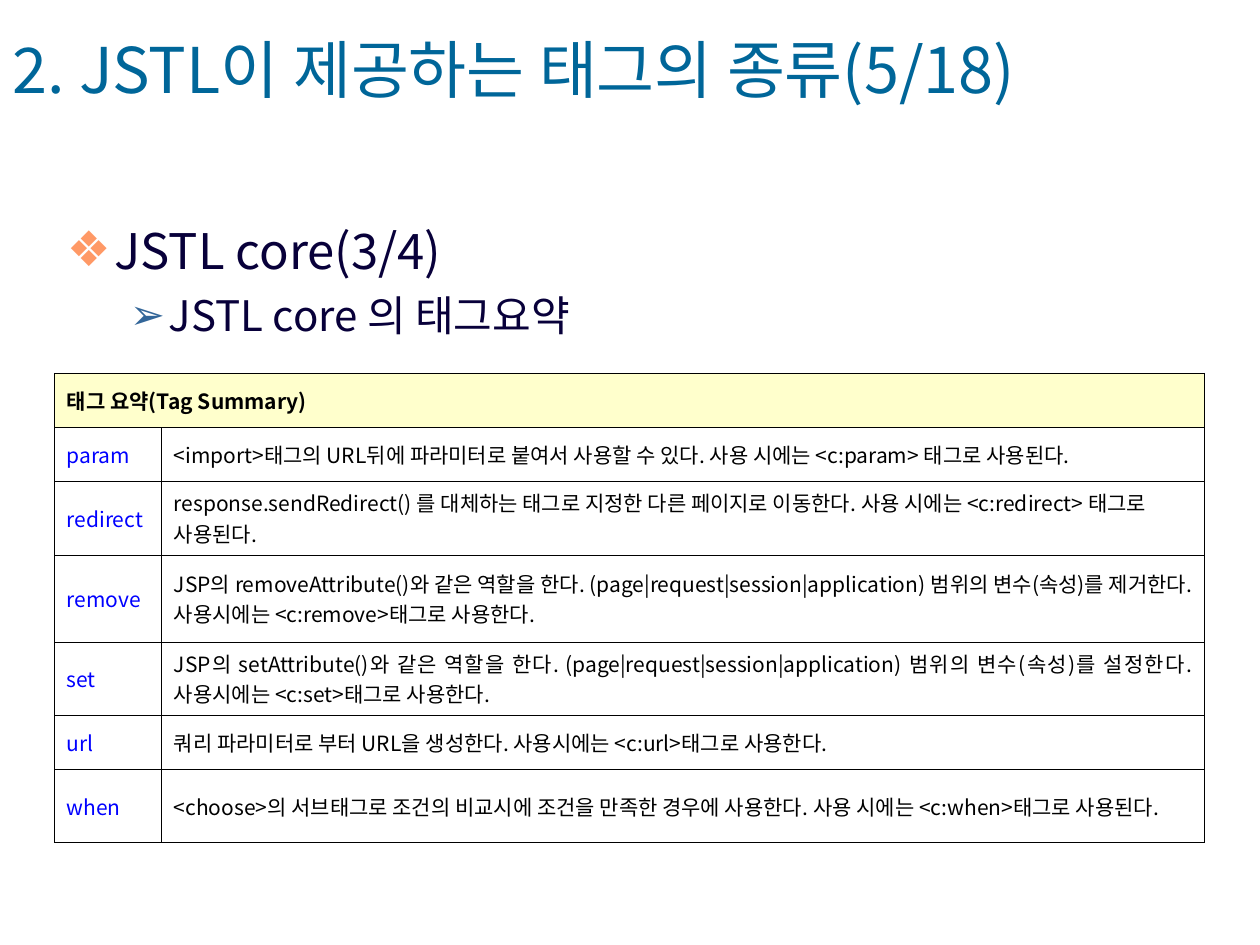
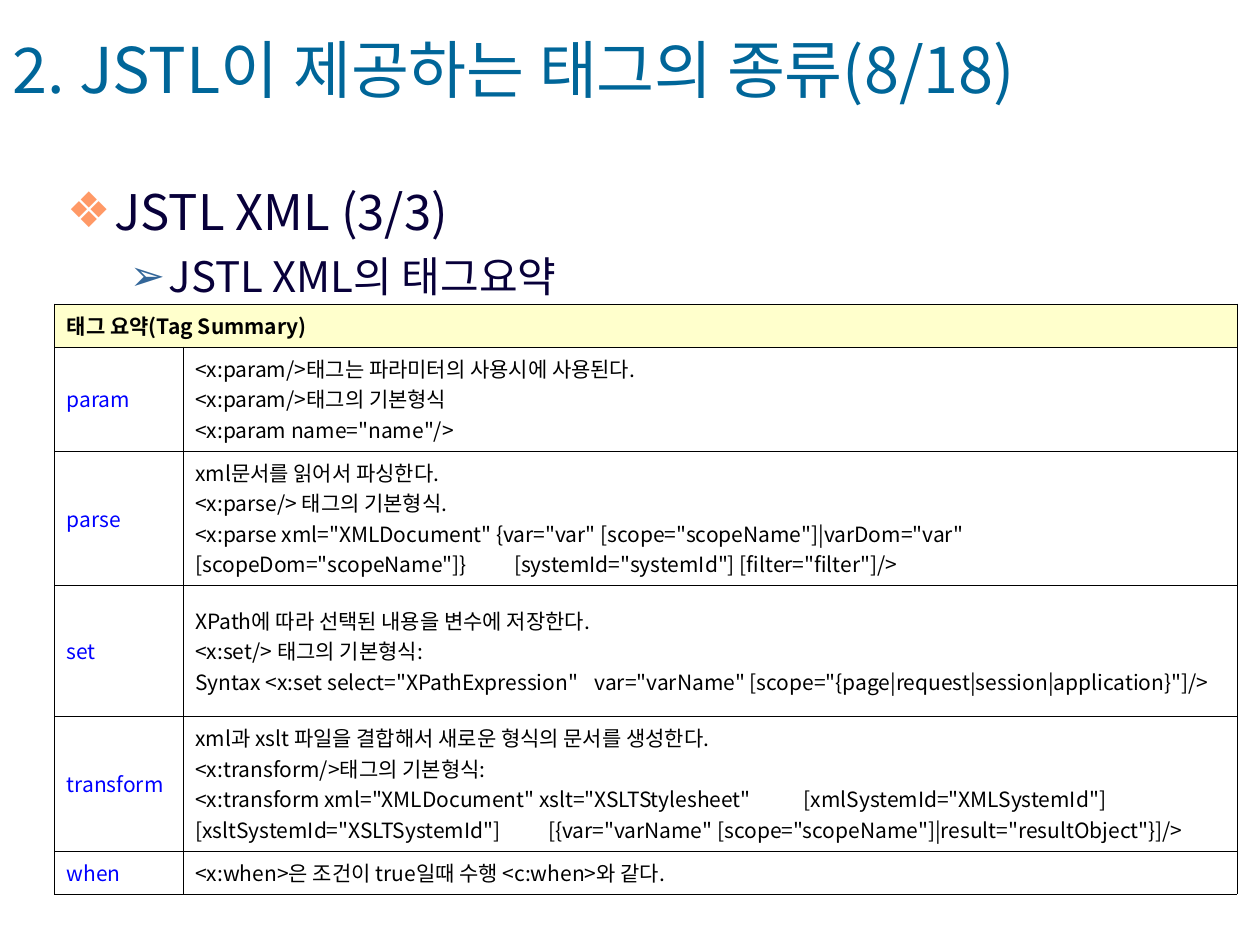
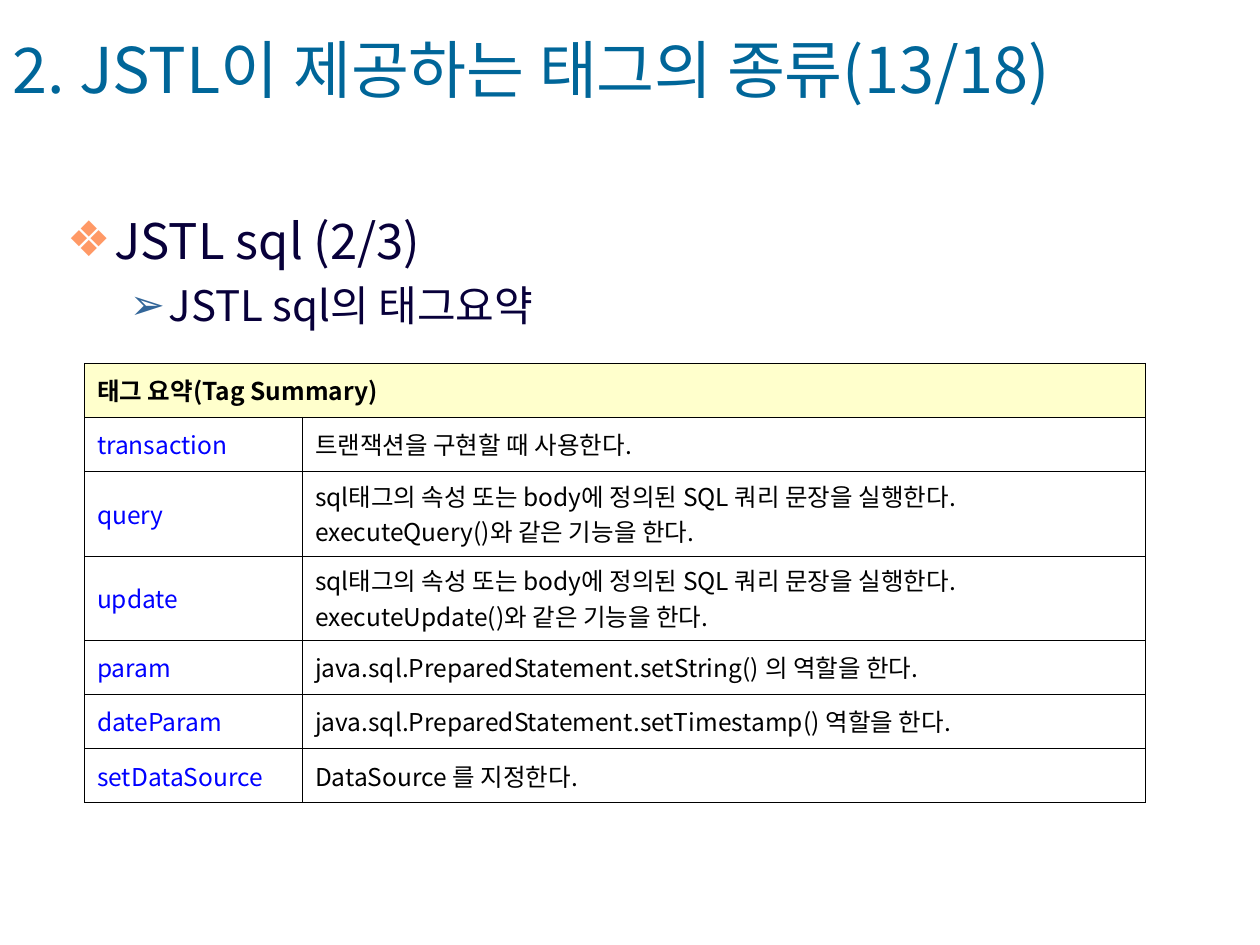
"""Build three slides that summarise the JSTL core, XML and sql tags."""
import dataclasses
import typing

import lxml.etree
import pptx
import pptx.dml.color
import pptx.enum.text
import pptx.oxml.ns
import pptx.util

Inches = pptx.util.Inches
Pt = pptx.util.Pt
ALIGN = pptx.enum.text.PP_ALIGN
ANCHOR = pptx.enum.text.MSO_ANCHOR
qn = pptx.oxml.ns.qn


@dataclasses.dataclass(frozen=True)
class Theme:
    """Colours and type sizes of the deck."""
    font: str = "Noto Sans CJK KR"
    title: str = "006699"
    body: str = "08003A"
    tag: str = "0000FF"
    ink: str = "000000"
    header_fill: str = "FFFFCC"
    cell_fill: str = "FFFFFF"
    title_size: float = 36
    border_width: float = 0.06


@dataclasses.dataclass(frozen=True)
class ListLevel:
    """Format of one level of the topic list."""
    bullet: str
    bullet_color: str
    size: float
    space_before: float
    margin: float
    hanging: float


@dataclasses.dataclass(frozen=True)
class Tag:
    """One table row: a tag, its description lines and its row height."""
    name: str
    lines: tuple[str, ...]
    height: float
    justified: bool = False
    tab_stops: tuple[float, ...] = ()


@dataclasses.dataclass(frozen=True)
class TagSlide:
    """One slide with its topic list and tag table."""
    page: int
    topics: tuple[str, str]
    topics_top: float
    topics_height: float
    left: float
    top: float
    columns: tuple[float, float]
    header_height: float
    text_size: float
    tags: tuple[Tag, ...]


THEME = Theme()
LEVELS = (
    ListLevel("❖", "FF9966", 28, 7, 0.38, 0.38),
    ListLevel("➢", "336699", 24, 6, 0.81, 0.31),
)
SLIDES = (
    TagSlide(5, ("JSTL core(3/4)", "JSTL core 의 태그요약"), 1.7, 1.18,
             0.43, 2.96, (0.85, 8.28), 0.43, 12, (
        Tag("param", ("<import>태그의 URL뒤에 파라미터로 붙여서 사용할 수 있다. "
                      "사용 시에는 <c:param> 태그로 사용된다.",), 0.43, True),
        Tag("redirect", ("response.sendRedirect() 를 대체하는 태그로 지정한 다른 페이지로 "
                         "이동한다. 사용 시에는 <c:redirect> 태그로 사용된다.",), 0.58),
        Tag("remove", ("JSP의 removeAttribute()와 같은 역할을 한다. "
                       "(page|request|session|application) 범위의 변수(속성)를 제거한다. "
                       "사용시에는 <c:remove>태그로 사용한다.",), 0.69, True),
        Tag("set", ("JSP의 setAttribute()와 같은 역할을 한다. "
                    "(page|request|session|application) 범위의 변수(속성)를 설정한다. "
                    "사용시에는 <c:set>태그로 사용한다.",), 0.58, True),
        Tag("url", ("쿼리 파라미터로 부터 URL을 생성한다. "
                    "사용시에는 <c:url>태그로 사용한다.",), 0.43),
        Tag("when", ("<choose>의 서브태그로 조건의 비교시에 조건을 만족한 경우에 사용한다. "
                     "사용 시에는 <c:when>태그로 사용된다.",), 0.58, True),
    )),
    TagSlide(8, ("JSTL XML (3/3)", "JSTL XML의 태그요약"), 1.39, 1.1,
             0.43, 2.41, (1.02, 8.37), 0.34, 12, (
        Tag("param", ("<x:param/>태그는 파라미터의 사용시에 사용된다.",
                      "<x:param/>태그의 기본형식",
                      '<x:param name="name"/>'), 0.81),
        Tag("parse", ("xml문서를 읽어서 파싱한다.",
                      "<x:parse/> 태그의 기본형식.",
                      '<x:parse xml="XMLDocument" {var="var" [scope="scopeName"]|varDom="var" '
                      '[scopeDom="scopeName"]}\t[systemId="systemId"] [filter="filter"]/>'),
            1.04, tab_stops=(2.53,)),
        Tag("set", ("XPath에 따라 선택된 내용을 변수에 저장한다.",
                    "<x:set/> 태그의 기본형식:",
                    'Syntax <x:set select="XPathExpression"\tvar="varName" '
                    '[scope="{page|request|session|application}"]/>'),
            1.04, tab_stops=(3.17,)),
        Tag("transform", ("xml과 xslt 파일을 결합해서 새로운 형식의 문서를 생성한다.",
                          "<x:transform/>태그의 기본형식:",
                          '<x:transform xml="XMLDocument" xslt="XSLTStylesheet"\t'
                          '[xmlSystemId="XMLSystemId"] [xsltSystemId="XSLTSystemId"]\t'
                          '[{var="varName" [scope="scopeName"]|result="resultObject"}]/>'),
            1.04, tab_stops=(2.8, 4.83)),
        Tag("when", ("<x:when>은 조건이 true일때 수행 <c:when>와 같다.",), 0.34),
    )),
    TagSlide(13, ("JSTL sql (2/3)", "JSTL sql의 태그요약"), 1.62, 1.1,
             0.67, 2.88, (1.73, 6.69), 0.43, 14, (
        Tag("transaction", ("트랜잭션을 구현할 때 사용한다.",), 0.43),
        *(Tag(name, ("sql태그의 속성 또는 body에 정의된 SQL 쿼리 문장을 실행한다. "
                     f"{method}()와 같은 기능을 한다.",), 0.67)
          for name, method in (("query", "executeQuery"), ("update", "executeUpdate"))),
        Tag("param", ("java.sql.PreparedStatement.setString() 의 역할을 한다.",), 0.43),
        Tag("dateParam", ("java.sql.PreparedStatement.setTimestamp() 역할을 한다.",), 0.43),
        Tag("setDataSource", ("DataSource 를 지정한다.",), 0.43),
    )),
)


def write(frame: typing.Any, lines: tuple[str, ...], *, size: float, color: str,
          bold: bool = False, align: ALIGN = ALIGN.LEFT,
          more: bool = False) -> list[typing.Any]:
    """Write formatted paragraphs into a text frame and return them."""
    written = []
    for index, line in enumerate(lines):
        paragraph = frame.add_paragraph() if more or index else frame.paragraphs[0]
        paragraph.alignment = align
        run = paragraph.add_run()
        run.text = line
        run.font.name = THEME.font
        run.font.size = Pt(size)
        run.font.bold = bold
        run.font.color.rgb = pptx.dml.color.RGBColor.from_string(color)
        lxml.etree.SubElement(run.font._element, qn("a:ea"), typeface=THEME.font)
        written.append(paragraph)
    return written


def place(holder: typing.Any, left: float, top: float, width: float, height: float,
          anchor: ANCHOR) -> typing.Any:
    """Move a placeholder and return its text frame."""
    holder.left, holder.top = Inches(left), Inches(top)
    holder.width, holder.height = Inches(width), Inches(height)
    frame = holder.text_frame
    frame.auto_size = pptx.enum.text.MSO_AUTO_SIZE.NONE
    frame.word_wrap = True
    frame.vertical_anchor = anchor
    return frame


def set_bullet(paragraph: typing.Any, level: ListLevel) -> None:
    """Give a paragraph the bullet and indent of its level."""
    properties = paragraph._p.get_or_add_pPr()
    properties.set("marL", str(Inches(level.margin)))
    properties.set("indent", str(-Inches(level.hanging)))
    color = lxml.etree.SubElement(properties, qn("a:buClr"))
    lxml.etree.SubElement(color, qn("a:srgbClr"), val=level.bullet_color)
    lxml.etree.SubElement(properties, qn("a:buChar"), char=level.bullet)


def set_tab_stops(paragraph: typing.Any, stops: tuple[float, ...]) -> None:
    """Add left tab stops to a paragraph."""
    tabs = lxml.etree.SubElement(paragraph._p.get_or_add_pPr(), qn("a:tabLst"))
    for stop in stops:
        lxml.etree.SubElement(tabs, qn("a:tab"), pos=str(Inches(stop)), algn="l")


def style_cell(cell: typing.Any, fill: str) -> None:
    """Set the borders, fill and anchor of a cell."""
    properties = cell._tc.get_or_add_tcPr()
    for side in ("a:lnL", "a:lnR", "a:lnT", "a:lnB"):
        border = lxml.etree.SubElement(properties, qn(side), w=str(Pt(THEME.border_width)))
        paint = lxml.etree.SubElement(border, qn("a:solidFill"))
        lxml.etree.SubElement(paint, qn("a:srgbClr"), val=THEME.ink)
    cell.fill.solid()
    cell.fill.fore_color.rgb = pptx.dml.color.RGBColor.from_string(fill)
    cell.vertical_anchor = ANCHOR.MIDDLE


def add_topics(holder: typing.Any, content: TagSlide) -> None:
    """Fill the body placeholder with the two-level topic list."""
    frame = place(holder, 0.43, content.topics_top, 9.21, content.topics_height, ANCHOR.TOP)
    for depth, (topic, level) in enumerate(zip(content.topics, LEVELS)):
        paragraph, = write(frame, (topic,), size=level.size, color=THEME.body,
                           align=ALIGN.JUSTIFY, more=depth > 0)
        paragraph.level = depth
        paragraph.space_before = Pt(level.space_before)
        set_bullet(paragraph, level)


def add_tag_table(slide: typing.Any, content: TagSlide) -> None:
    """Draw the tag summary table."""
    heights = (content.header_height, *(tag.height for tag in content.tags))
    summary = slide.shapes.add_table(
        len(heights), 2, Inches(content.left), Inches(content.top),
        Inches(sum(content.columns)), Inches(sum(heights))).table
    summary.first_row = summary.horz_banding = False
    for column, width in zip(summary.columns, content.columns):
        column.width = Inches(width)
    for index, (row, height) in enumerate(zip(summary.rows, heights)):
        row.height = Inches(height)
        for cell in row.cells:
            style_cell(cell, THEME.cell_fill if index else THEME.header_fill)
    header = summary.cell(0, 0)
    header.merge(summary.cell(0, 1))
    write(header.text_frame, ("태그 요약(Tag Summary)",), size=content.text_size,
          color=THEME.ink, bold=True)
    for index, tag in enumerate(content.tags, start=1):
        write(summary.cell(index, 0).text_frame, (tag.name,), size=content.text_size,
              color=THEME.tag)
        description = write(summary.cell(index, 1).text_frame, tag.lines,
                            size=content.text_size, color=THEME.ink,
                            align=ALIGN.JUSTIFY if tag.justified else ALIGN.LEFT)
        if tag.tab_stops:
            set_tab_stops(description[-1], tag.tab_stops)


def add_tag_slide(deck: typing.Any, content: TagSlide) -> None:
    """Add one slide with title, topics and tag table."""
    slide = deck.slides.add_slide(deck.slide_layouts[1])
    frame = place(slide.shapes.title, 0, 0.28, 8.54, 0.67, ANCHOR.MIDDLE)
    heading, = write(frame, (f"2. JSTL이 제공하는 태그의 종류({content.page}/18)",),
                     size=THEME.title_size, color=THEME.title)
    heading.line_spacing = 0.7
    add_topics(slide.placeholders[1], content)
    add_tag_table(slide, content)


def main() -> None:
    """Build and save the deck."""
    deck = pptx.Presentation()
    deck.slide_width, deck.slide_height = Inches(10), Inches(7.5)
    for content in SLIDES:
        add_tag_slide(deck, content)
    deck.save("out.pptx")


if __name__ == "__main__":
    main()
